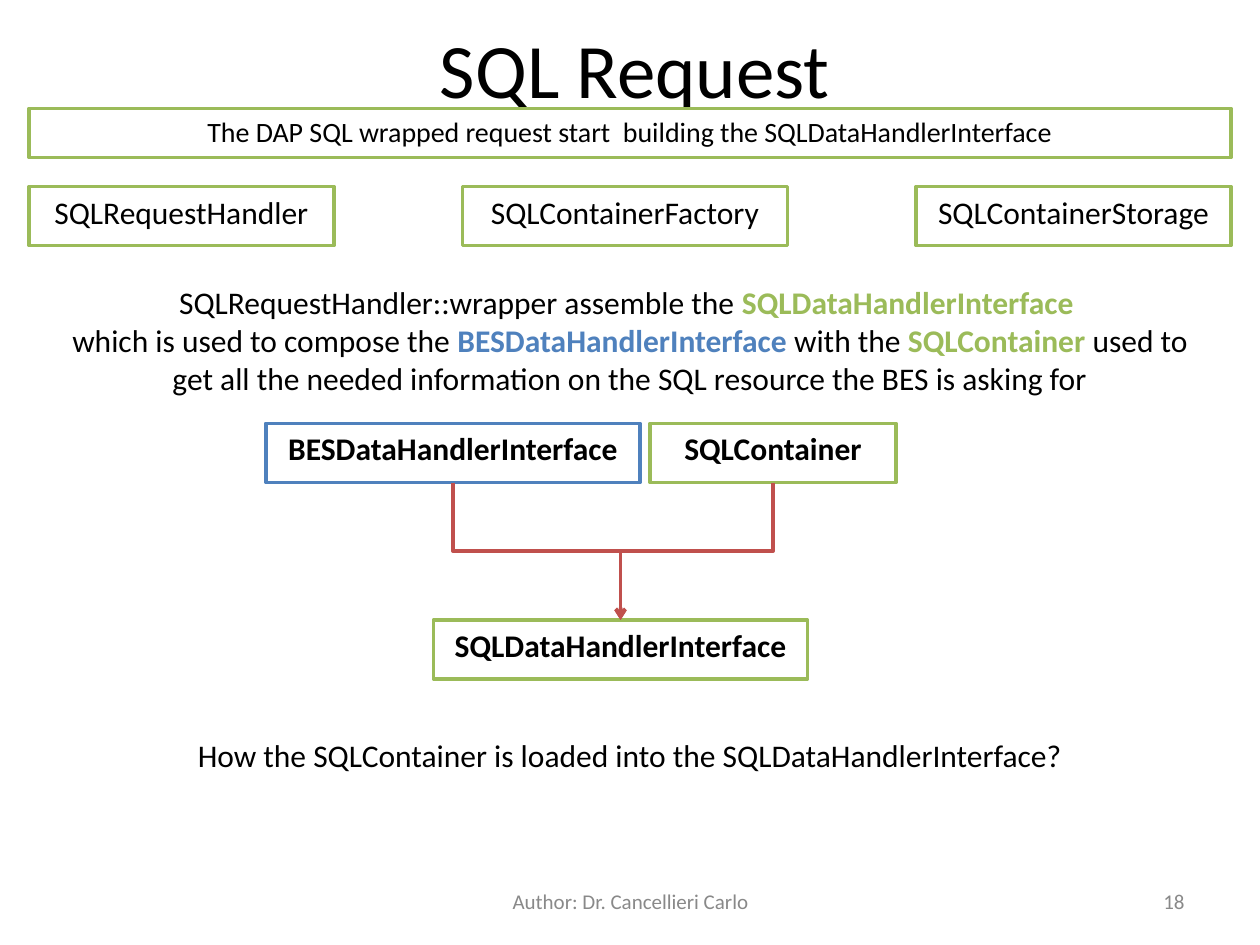
import pptx
import pptx.dml.color
import pptx.enum.shapes
import pptx.enum.text
import pptx.oxml
import pptx.oxml.ns
import pptx.util
from pptx.util import Inches

RGBColor = pptx.dml.color.RGBColor
BLACK = RGBColor(0x00, 0x00, 0x00)
WHITE = RGBColor(0xFF, 0xFF, 0xFF)
GREEN = RGBColor(0x9B, 0xBB, 0x59)
BLUE = RGBColor(0x4F, 0x81, 0xBD)
RED = RGBColor(0xC0, 0x50, 0x4D)
GREY = RGBColor(0x89, 0x89, 0x89)

ALIGN = pptx.enum.text.PP_ALIGN
ANCHOR = pptx.enum.text.MSO_ANCHOR
FONT = "Calibri"
BOX_HEIGHT = Inches(0.47)


def write(frame, paragraphs, size=18, color=BLACK, bold=False, align=ALIGN.CENTER,
          anchor=ANCHOR.TOP, wrap=True, gap=0):
    """Fill a frame; each paragraph is a string or a list of (text, highlight colour)."""
    frame.word_wrap = wrap
    frame.vertical_anchor = anchor
    for index, content in enumerate(paragraphs):
        paragraph = frame.paragraphs[0] if index == 0 else frame.add_paragraph()
        paragraph.alignment = align
        runs = [(content, None)] if isinstance(content, str) else content
        for text, highlight in runs:
            run = paragraph.add_run()
            run.text = text
            run.font.name = FONT
            run.font.size = pptx.util.Pt(size)
            run.font.bold = bold or highlight is not None
            run.font.color.rgb = highlight or color
    if gap:
        paragraph.space_before = pptx.util.Pt(gap)


def add_box(slide, text, left, top, width, height=BOX_HEIGHT, line=GREEN, **text_format):
    box = slide.shapes.add_shape(pptx.enum.shapes.MSO_SHAPE.RECTANGLE, left, top, width, height)
    box.shadow.inherit = False
    box.fill.solid()
    box.fill.fore_color.rgb = WHITE
    box.line.color.rgb = line
    box.line.width = pptx.util.Pt(2)
    write(box.text_frame, [text], wrap=False, **text_format)
    return box


def add_title(slide, left, top, width, height):
    title = slide.shapes.title
    title.left, title.top, title.width, title.height = left, top, width, height
    write(title.text_frame, ["SQL Request"], size=44, anchor=ANCHOR.MIDDLE)


def add_explanation(slide, left, top, width, height):
    explanation = slide.shapes.add_textbox(left, top, width, height)
    write(explanation.text_frame, [
        [("SQLRequestHandler::wrapper assemble the ", None), ("SQLDataHandlerInterface ", GREEN)],
        [("which is used to compose the ", None), ("BESDataHandlerInterface", BLUE),
         (" with the ", None), ("SQLContainer", GREEN),
         (" used to get all the needed information on the SQL resource the BES is asking for",
          None)],
        "How the SQLContainer is loaded into the SQLDataHandlerInterface?",
    ], gap=194)


def add_class_row(slide, left, top, width):
    """Spread the boxes over the width with equal gaps."""
    classes = [("SQLRequestHandler", Inches(2.42)),
               ("SQLContainerFactory", Inches(2.58)),
               ("SQLContainerStorage", Inches(2.5))]
    gap = (width - sum(box_width for _, box_width in classes)) // (len(classes) - 1)
    for name, box_width in classes:
        add_box(slide, name, left, top, box_width)
        left += box_width + gap


def add_down_elbow(slide, source, target):
    """Bent arrow from the bottom of source to the top of target, turned to leave vertically."""
    start_x = source.left + source.width // 2
    end_x = target.left + target.width // 2
    start_y, end_y = source.top + source.height, target.top
    center_x, center_y = (start_x + end_x) // 2, (start_y + end_y) // 2
    half_width, half_height = (end_y - start_y) // 2, abs(end_x - start_x) // 2
    rotation = 90
    if end_x > start_x:
        half_width, rotation = -half_width, 270
    arrow = slide.shapes.add_connector(
        pptx.enum.shapes.MSO_CONNECTOR.ELBOW,
        center_x - half_width, center_y - half_height,
        center_x + half_width, center_y + half_height)
    arrow.line.color.rgb = RED
    arrow.line.width = pptx.util.Pt(2)
    properties = arrow.element.spPr
    properties.find(pptx.oxml.ns.qn("a:xfrm")).set("rot", str(rotation * 60000))
    namespace = pptx.oxml.ns.nsdecls("a")
    arrow.line._get_or_add_ln().append(
        pptx.oxml.parse_xml(f'<a:tailEnd {namespace} type="arrow"/>'))
    properties.append(pptx.oxml.parse_xml(f"<a:effectLst {namespace}/>"))


def add_composition(slide, left, top):
    interface_width = Inches(2.97)
    container = add_box(slide, "SQLContainer", left + Inches(3.05), top, Inches(1.95), bold=True)
    bes_interface = add_box(slide, "BESDataHandlerInterface", left, top, interface_width,
                            line=BLUE, bold=True)
    sql_interface = add_box(slide, "SQLDataHandlerInterface", left + Inches(1.33),
                            top + Inches(1.56), interface_width, bold=True)
    for source in (bes_interface, container):
        add_down_elbow(slide, source, sql_interface)


def add_footer(slide, top, height):
    for text, left, width, align in (
            ("18", Inches(7.17), Inches(2.33), ALIGN.RIGHT),
            ("Author: Dr. Cancellieri Carlo", Inches(3.42), Inches(3.17), ALIGN.CENTER)):
        note = slide.shapes.add_textbox(left, top, width, height)
        write(note.text_frame, [text], size=12, color=GREY, align=align, anchor=ANCHOR.MIDDLE)


def main():
    presentation = pptx.Presentation()
    presentation.slide_width, presentation.slide_height = Inches(10), Inches(7.5)
    slide = presentation.slides.add_slide(presentation.slide_layouts[5])
    margin, content_width = Inches(0.23), Inches(9.54)

    add_title(slide, Inches(0.39), Inches(0), Inches(9.3), Inches(1.08))
    add_explanation(slide, Inches(0.47), Inches(2.2), Inches(9.06), Inches(4))
    add_composition(slide, Inches(2.11), Inches(3.36))
    add_box(slide, "The DAP SQL wrapped request start  building the SQLDataHandlerInterface",
            margin, Inches(0.86), content_width, Inches(0.39), size=16)
    add_class_row(slide, margin, Inches(1.48), content_width)
    add_footer(slide, Inches(6.95), Inches(0.4))
    presentation.save("out.pptx")


if __name__ == "__main__":
    main()
